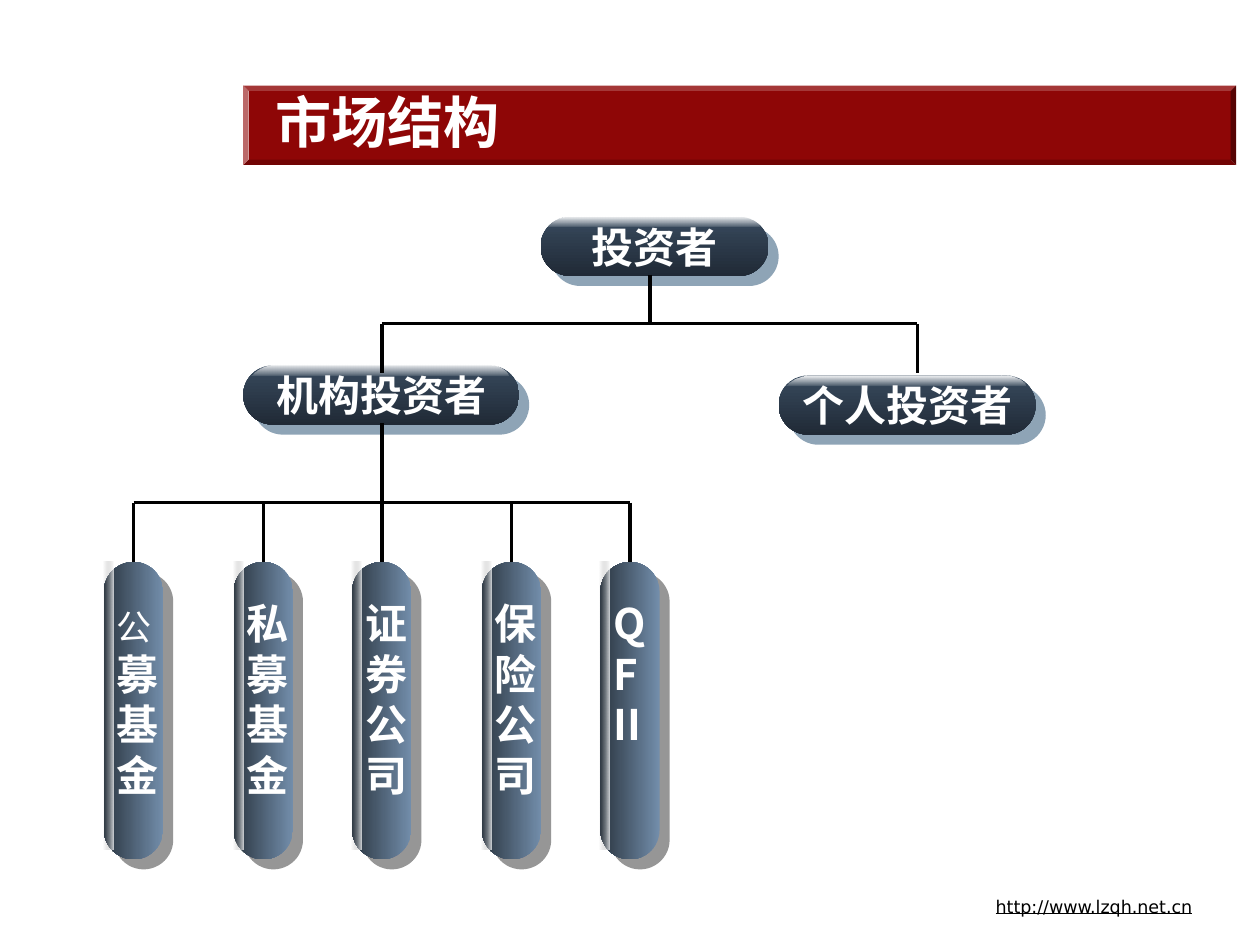
from lxml import etree
from pptx import Presentation
from pptx.dml.color import RGBColor
from pptx.enum.shapes import MSO_CONNECTOR, MSO_SHAPE
from pptx.enum.text import MSO_ANCHOR, PP_ALIGN
from pptx.oxml.ns import qn
from pptx.util import Inches, Pt

ROUND, RECT, BEVEL = MSO_SHAPE.ROUNDED_RECTANGLE, MSO_SHAPE.RECTANGLE, MSO_SHAPE.BEVEL
LEFT, CENTER, RIGHT = PP_ALIGN.LEFT, PP_ALIGN.CENTER, PP_ALIGN.RIGHT
TOP, MIDDLE = MSO_ANCHOR.TOP, MSO_ANCHOR.MIDDLE
STRAIGHT = MSO_CONNECTOR.STRAIGHT
HAN, SANS = "Noto Sans CJK SC", "DejaVu Sans"

# Content
TITLE = "市场结构"
SITE = "http://www.lzqh.net.cn"
PILLS = [  # text, left, top, width
    ("投资者", 4.29, 1.72, 1.81),
    ("机构投资者", 1.93, 2.9, 2.19),
    ("个人投资者", 6.18, 2.98, 2.04),
]
BARS = [  # text, centre
    ("公募基金", 1.06),
    ("私募基金", 2.09),
    ("证券公司", 3.03),
    ("保险公司", 4.06),
    ("QFII", 5.0),
]

# Layout
THICK, LONG, DROP = 0.47, 2.36, 0.08
BAR_MID = 5.64
ROOT, FIRM, SOLO = 5.16, 3.03, 7.28
FORK, RAIL, FOOT = 2.57, 3.99, 4.46

prs = Presentation()
prs.slide_width, prs.slide_height = Inches(10), Inches(7.5)
slide = prs.slides.add_slide(prs.slide_layouts[6])
shapes = slide.shapes


def color(code):
    return RGBColor.from_string(code)


def paint(shape, fill, angle=0):
    """Fill with one colour, or with two (colour, opacity) stops."""
    shape.shadow.inherit = False
    shape.line.fill.background()
    if isinstance(fill, str):
        shape.fill.solid()
        shape.fill.fore_color.rgb = color(fill)
        return
    shape.fill.gradient()
    shape.fill.gradient_angle = (360 - angle) % 360
    for stop, (code, _) in zip(shape.fill.gradient_stops, fill):
        stop.color.rgb = color(code)
    grad = shape._element.spPr.find(qn("a:gradFill"))
    grad.set("rotWithShape", "0")
    for node, (_, solid) in zip(grad.iter(qn("a:srgbClr")), fill):
        if solid < 100:
            etree.SubElement(node, qn("a:alpha")).set("val", str(solid * 1000))


def block(kind, box, fill, angle=0, turn=0, adj=None):
    shape = shapes.add_shape(kind, *map(Inches, box))
    if adj is not None:
        shape.adjustments[0] = adj
    shape.rotation = turn
    paint(shape, fill, angle)
    return shape


def write(shape, text, size, font=HAN, code="FFFFFF", bold=True,
          align=LEFT, anchor=TOP, wrap=True):
    frame = shape.text_frame
    frame.word_wrap, frame.vertical_anchor = wrap, anchor
    para = frame.paragraphs[0]
    para.alignment = align
    para.add_run().text = text
    style = para.font
    style.size, style.bold, style.name = Pt(size), bold, font
    style.color.rgb = color(code)
    etree.SubElement(style._element, qn("a:ea")).set("typeface", font)
    return para


def label(box, text, size, **look):
    return write(shapes.add_textbox(*map(Inches, box)), text, size, **look)


def bend(a, b, c, d, steps=10):
    """Points along a cubic curve."""
    return [tuple((1 - t)**3 * p + 3 * (1 - t)**2 * t * q
                  + 3 * (1 - t) * t**2 * r + t**3 * s
                  for p, q, r, s in zip(a, b, c, d))
            for t in (i / steps for i in range(1, steps + 1))]


GLOSS = ([(0, 1), (1, 1)]
         + bend((1, 1), (1, 1), (0.99, 0), (0.86, 0.2))
         + [(0.1, 0.2)]
         + bend((0.1, 0.2), (0.03, 0.2), (0, 1), (0, 1)))


def pill(text, x, y, w):
    block(ROUND, (x + DROP, y + DROP, w, THICK), "8EA4B6", adj=0.5)
    body = block(ROUND, (x, y, w, THICK),
                 [("384A5E", 100), ("202A36", 100)], 90, adj=0.5)
    write(body, text, 24, align=CENTER, anchor=MIDDLE, wrap=False)
    spots = [(Inches(x + w * (0.03 + 0.93 * u)), Inches(y - 0.02 + 0.1 * v))
             for u, v in GLOSS]
    pen = shapes.build_freeform(*spots[0])
    pen.add_line_segments(spots[1:], close=True)
    paint(pen.convert_to_shape(), [("FFFFFF", 100), ("FFFFFF", 0)], 90)


def upright(kind, mid, y, long, thick, fill, angle=0, adj=None):
    box = (mid - long / 2, y - thick / 2, long, thick)
    block(kind, box, fill, angle, 270, adj)


def bar(text, mid):
    upright(ROUND, mid + DROP, BAR_MID + DROP, LONG, THICK, "969696", adj=0.5)
    upright(ROUND, mid, BAR_MID, LONG, THICK,
            [("728DAA", 100), ("2B3641", 100)], 180, 0.5)
    upright(RECT, mid - 0.2, BAR_MID - 0.04, 2.28, 0.08,
            [("FFFFFF", 80), ("767676", 0)], 180)
    para = label((mid - 0.23, 4.69, THICK, 1.7), text, 24)
    para.line_spacing = Pt(29)
    return para


def link(x1, y1, x2, y2, width=2):
    line = shapes.add_connector(STRAIGHT, *map(Inches, (x1, y1, x2, y2)))
    line.line.color.rgb = color("000000")
    line.line.width = Pt(width)
    etree.SubElement(line._element.spPr, qn("a:effectLst"))


# Title band and site address
block(BEVEL, (1.93, 0.68, 7.88, 0.63), "8E0606", adj=0.068)
site = label((6.81, 7.06, 2.75, 0.33), SITE, 10, font=SANS, code="000000",
             bold=False, align=RIGHT)
site.font.underline = True
label((2.09, 0.63, 7.56, 0.67), TITLE, 32, anchor=MIDDLE)

# Upright bars; the first one opens with a lighter character
paras = [bar(*item) for item in BARS]
head = paras[0].runs[0]
paras[0].add_run().text = head.text[1:]
head.text = head.text[0]
head.font.size, head.font.bold = Pt(20), False

for item in PILLS:
    pill(*item)

# Tree lines
link(FIRM, FORK, SOLO, FORK, 1.75)
link(BARS[0][1], RAIL, BARS[-1][1], RAIL)
for _, mid in BARS:
    link(mid, 3.36 if mid == FIRM else RAIL, mid, FOOT)
for mid in (SOLO, FIRM):
    link(mid, FORK, mid, 2.96)
link(ROOT, 2.18, ROOT, FORK)

prs.save("out.pptx")
